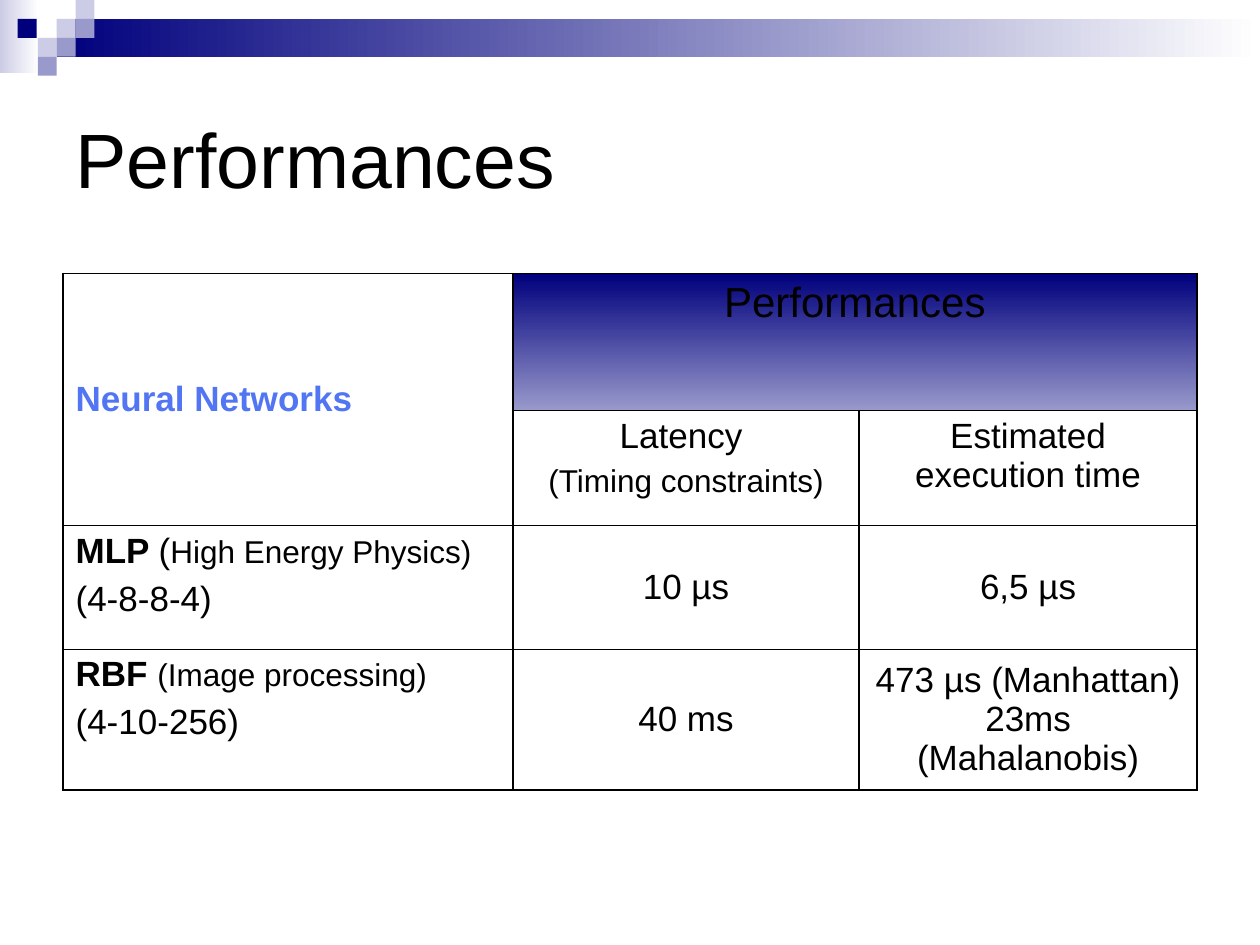
from dataclasses import dataclass

from lxml import etree
from pptx import Presentation
from pptx.dml.color import RGBColor
from pptx.enum.shapes import MSO_SHAPE
from pptx.enum.text import MSO_ANCHOR, PP_ALIGN
from pptx.oxml.ns import qn
from pptx.util import Inches, Pt

RECTANGLE = MSO_SHAPE.RECTANGLE
LEFT, CENTER = PP_ALIGN.LEFT, PP_ALIGN.CENTER
TOP, MIDDLE = MSO_ANCHOR.TOP, MSO_ANCHOR.MIDDLE
BLACK, WHITE, NAVY, LAVENDER, PERIWINKLE = "000000", "FFFFFF", "00007D", "CCCCE6", "9999CC"
TILE = 0.15
OUTER_LINE, INNER_LINE = 1.08, 0.45
COLUMN_WIDTHS = (3.57, 2.75, 2.68)
ROW_HEIGHTS = (1.09, 0.91, 0.98, 1.12)


@dataclass(frozen=True)
class Block:
    left: float
    top: float
    width: float
    height: float
    colors: tuple[str, ...]


@dataclass(frozen=True)
class Run:
    text: str
    size: float = 20
    bold: bool = False
    color: str = BLACK


@dataclass(frozen=True)
class CellContent:
    row: int
    column: int
    paragraphs: tuple[tuple[Run, ...], ...]
    alignment: PP_ALIGN = CENTER
    anchor: MSO_ANCHOR = MIDDLE
    space_before: float = 5


BLOCKS = (
    Block(0, 0, 0.31, 0.58, (WHITE, LAVENDER)),
    Block(0.45, 0.15, 9.55, 0.3, (WHITE, NAVY)),
    *(
        Block(left, top, TILE, TILE, (color,))
        for left, top, color in (
            (0.45, 0.15, LAVENDER),
            (0.6, 0, LAVENDER),
            (0.6, 0.15, PERIWINKLE),
            (0.3, 0.3, LAVENDER),
            (0.14, 0.15, NAVY),
            (0.45, 0.3, PERIWINKLE),
            (0.3, 0.45, PERIWINKLE),
        )
    ),
)

CONTENTS = (
    CellContent(0, 0, ((Run("Neural Networks", bold=True, color="5275F3"),),), LEFT),
    CellContent(0, 1, ((Run("Performances", 24),),), anchor=TOP),
    CellContent(1, 1, ((Run("Latency "),), (Run("(Timing constraints)", 18),)),
                anchor=TOP, space_before=4.5),
    CellContent(1, 2, ((Run("Estimated execution time"),),), anchor=TOP),
    CellContent(2, 0, ((Run("MLP ", bold=True), Run("("), Run("High Energy Physics)", 18)),
                       (Run("(4-8-8-4)"),)), LEFT, TOP),
    CellContent(2, 1, ((Run("10 µs"),),)),
    CellContent(2, 2, ((Run("6,5 µs"),),)),
    CellContent(3, 0, ((Run("RBF ", bold=True), Run("(Image processing)", 18)),
                       (Run("(4-10-256)"),)), LEFT, TOP),
    CellContent(3, 1, ((Run("40 ms"),),)),
    CellContent(3, 2, ((Run("473 µs (Manhattan) 23ms (Mahalanobis)"),),)),
)


def rgb(color: str) -> RGBColor:
    return RGBColor.from_string(color)


def apply_fill(fill, colors: tuple[str, ...], angle: float = 180) -> None:
    if len(colors) == 1:
        fill.solid()
        fill.fore_color.rgb = rgb(colors[0])
        return
    fill.gradient()
    fill.gradient_angle = angle
    for stop, color in zip(fill.gradient_stops, colors):
        stop.color.rgb = rgb(color)


def add_text(paragraph, text: str, *, size: float, bold: bool = False, color: str = BLACK) -> None:
    run = paragraph.add_run()
    run.text = text
    run.font.name = "Arial"
    run.font.size = Pt(size)
    run.font.bold = bold
    run.font.color.rgb = rgb(color)


def draw_block(slide, block: Block) -> None:
    shape = slide.shapes.add_shape(RECTANGLE, Inches(block.left), Inches(block.top),
                                   Inches(block.width), Inches(block.height))
    shape.shadow.inherit = False
    shape.line.fill.background()
    apply_fill(shape.fill, block.colors)


def set_borders(cell, top: float, bottom: float) -> None:
    properties = cell._tc.get_or_add_tcPr()
    widths = {"a:lnL": OUTER_LINE, "a:lnR": OUTER_LINE, "a:lnT": top, "a:lnB": bottom}
    for tag, width in widths.items():
        line = etree.SubElement(properties, qn(tag), w=str(Pt(width)))
        fill = etree.SubElement(line, qn("a:solidFill"))
        etree.SubElement(fill, qn("a:srgbClr"), val=BLACK)


def fill_cell(cell, content: CellContent) -> None:
    cell.vertical_anchor = content.anchor
    frame = cell.text_frame
    for index, runs in enumerate(content.paragraphs):
        paragraph = frame.add_paragraph() if index else frame.paragraphs[0]
        paragraph.alignment = content.alignment
        if index:
            paragraph.space_before = Pt(content.space_before)
        for run in runs:
            add_text(paragraph, run.text, size=run.size, bold=run.bold, color=run.color)


def draw_title(slide) -> None:
    title = slide.shapes.title
    title.left, title.top = Inches(0.5), Inches(0.5)
    title.width, title.height = Inches(9), Inches(1.5)
    title.text_frame.vertical_anchor = MIDDLE
    paragraph = title.text_frame.paragraphs[0]
    paragraph.alignment = LEFT
    add_text(paragraph, "Performances", size=44)


def draw_table(slide) -> None:
    last_row = len(ROW_HEIGHTS) - 1
    table = slide.shapes.add_table(len(ROW_HEIGHTS), len(COLUMN_WIDTHS), Inches(0.5), Inches(2.17),
                                   Inches(sum(COLUMN_WIDTHS)), Inches(sum(ROW_HEIGHTS))).table
    table.first_row = False
    table.horz_banding = False
    for column, width in zip(table.columns, COLUMN_WIDTHS):
        column.width = Inches(width)
    for row_index, height in enumerate(ROW_HEIGHTS):
        table.rows[row_index].height = Inches(height)
        for cell in table.rows[row_index].cells:
            set_borders(cell, OUTER_LINE if row_index == 0 else INNER_LINE,
                        OUTER_LINE if row_index == last_row else INNER_LINE)
            cell.fill.background()
    table.cell(0, 0).merge(table.cell(1, 0))
    table.cell(0, 1).merge(table.cell(0, 2))
    apply_fill(table.cell(0, 1).fill, (NAVY, PERIWINKLE), angle=270)
    for content in CONTENTS:
        fill_cell(table.cell(content.row, content.column), content)


def main() -> None:
    presentation = Presentation()
    presentation.slide_width, presentation.slide_height = Inches(10), Inches(7.5)
    slide = presentation.slides.add_slide(presentation.slide_layouts[5])
    for block in BLOCKS:
        draw_block(slide, block)
    draw_title(slide)
    draw_table(slide)
    presentation.save("out.pptx")


if __name__ == "__main__":
    main()
